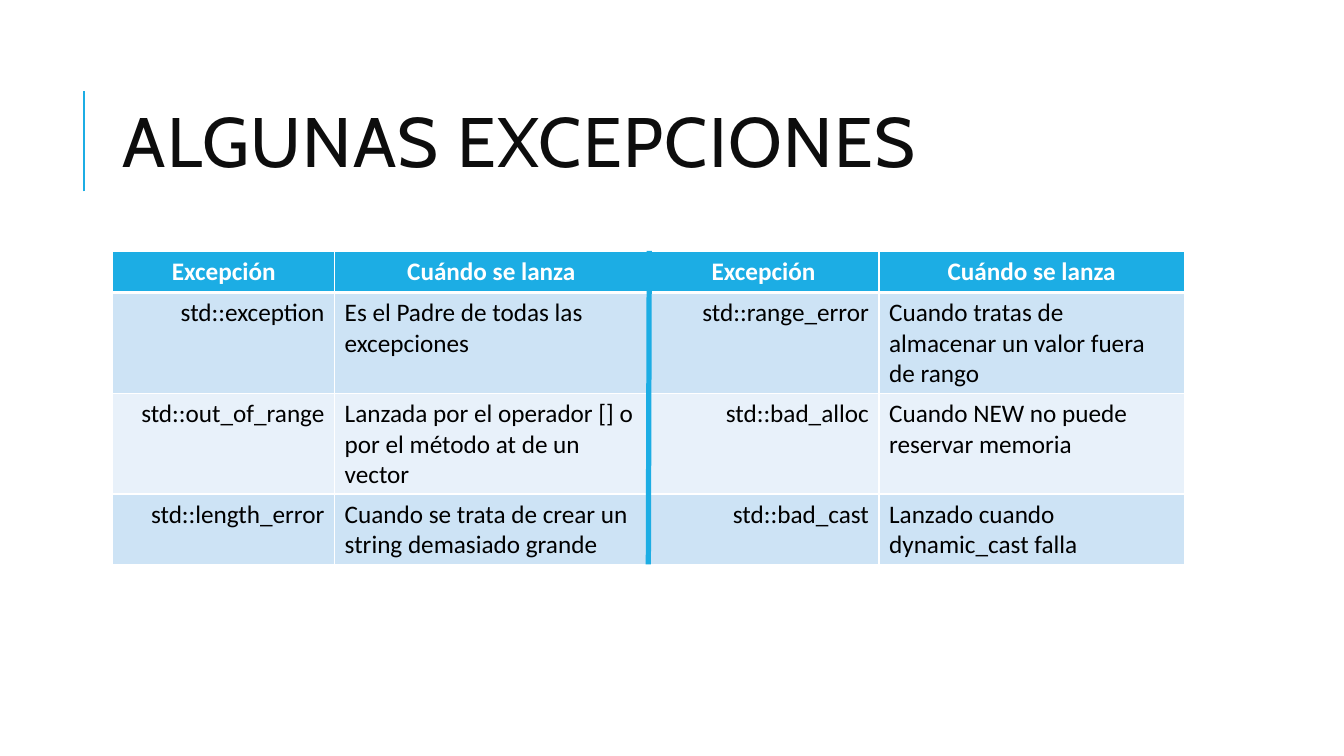
from lxml import etree
from pptx import Presentation, util as u
from pptx.dml.color import RGBColor
from pptx.enum import shapes, text
from pptx.oxml import ns

WIDE, HIGH = u.Inches(13.33), u.Inches(7.5)
HUES = {"blue": "1CADE4", "ink": "0D0D0D", "black": "000000",
        "white": "FFFFFF", "odd": "CDE3F5", "even": "E8F1FA"}
LEFT, TOP = 8.4, 33.2
COLS = [16.5, 23.33, 17.18, 22.72]
ROW = 5.47
ROWS = [
    ["Excepción", "Cuándo se lanza"] * 2,
    ["std::exception", "Es el Padre de todas las excepciones",
     "std::range_error", "Cuando tratas de almacenar un valor fuera de rango"],
    ["std::out_of_range", "Lanzada por el operador [] o por el método at de un vector",
     "std::bad_alloc", "Cuando NEW no puede reservar memoria"],
    ["std::length_error", "Cuando se trata de crear un string demasiado grande",
     "std::bad_cast", "Lanzado cuando dynamic_cast falla"],
]


def across(share):
    return round(WIDE * share / 100)


def down(share):
    return round(HIGH * share / 100)


def hue(name):
    return RGBColor.from_string(HUES[name])


def style(font, face, size, color, bold=False):
    font.name, font.size, font.bold = face, u.Pt(size), bold
    font.color.rgb = hue(color)


def add_rule(slide, start, end, width):
    rule = slide.shapes.add_connector(
        shapes.MSO_CONNECTOR.STRAIGHT, across(start[0]), down(start[1]),
        across(end[0]), down(end[1]))
    rule.line.color.rgb = hue("blue")
    rule.line.width = u.Pt(width)
    etree.SubElement(rule._element.spPr, ns.qn("a:effectLst"))


def add_title(slide, words):
    box = slide.shapes.add_textbox(across(LEFT), down(8.53), across(sum(COLS)), down(21.87))
    frame = box.text_frame
    frame.word_wrap = True
    frame.vertical_anchor = text.MSO_ANCHOR.MIDDLE
    para = frame.paragraphs[0]
    para.line_spacing = 0.8
    run = para.add_run()
    run.text = words
    style(para.font, "Cabin", 50, "ink")
    run.font._element.set("spc", "100")


def add_edge(cell, side, width):
    props = cell._tc.get_or_add_tcPr()
    edge = etree.SubElement(props, ns.qn("a:ln" + side), w=str(u.Pt(width)))
    fill = etree.SubElement(edge, ns.qn("a:solidFill"))
    etree.SubElement(fill, ns.qn("a:srgbClr"), val=HUES["white"])


def fill_cell(cell, words, row, col):
    head = row == 0
    for side in "LRTB":
        thick = head and side == "B" or row == 1 and side == "T"
        add_edge(cell, side, 3 if thick else 1)
    cell.fill.solid()
    cell.fill.fore_color.rgb = hue("blue" if head else "odd" if row % 2 else "even")
    cell.text = words
    para = cell.text_frame.paragraphs[0]
    style(para.font, "Calibri", 18, "white" if head else "black", head)
    if head:
        para.alignment = text.PP_ALIGN.CENTER
    else:
        para.alignment = text.PP_ALIGN.LEFT if col % 2 else text.PP_ALIGN.RIGHT


def add_grid(slide):
    grid = slide.shapes.add_table(
        len(ROWS), len(COLS), across(LEFT), down(TOP),
        across(sum(COLS)), down(ROW * len(ROWS))).table
    for col, share in zip(grid.columns, COLS):
        col.width = across(share)
    for r, row in enumerate(ROWS):
        grid.rows[r].height = down(ROW)
        for c, words in enumerate(row):
            fill_cell(grid.cell(r, c), words, r, c)


def main():
    deck = Presentation()
    deck.slide_width, deck.slide_height = WIDE, HIGH
    slide = deck.slides.add_slide(deck.slide_layouts[6])
    add_rule(slide, (6.23, 25.33), (6.23, 12), 1.5)
    add_title(slide, "ALGUNAS EXCEPCIONES")
    add_grid(slide)
    add_rule(slide, (48.31, TOP), (48.24, 74.67), 3.75)
    deck.save("out.pptx")


if __name__ == "__main__":
    main()
